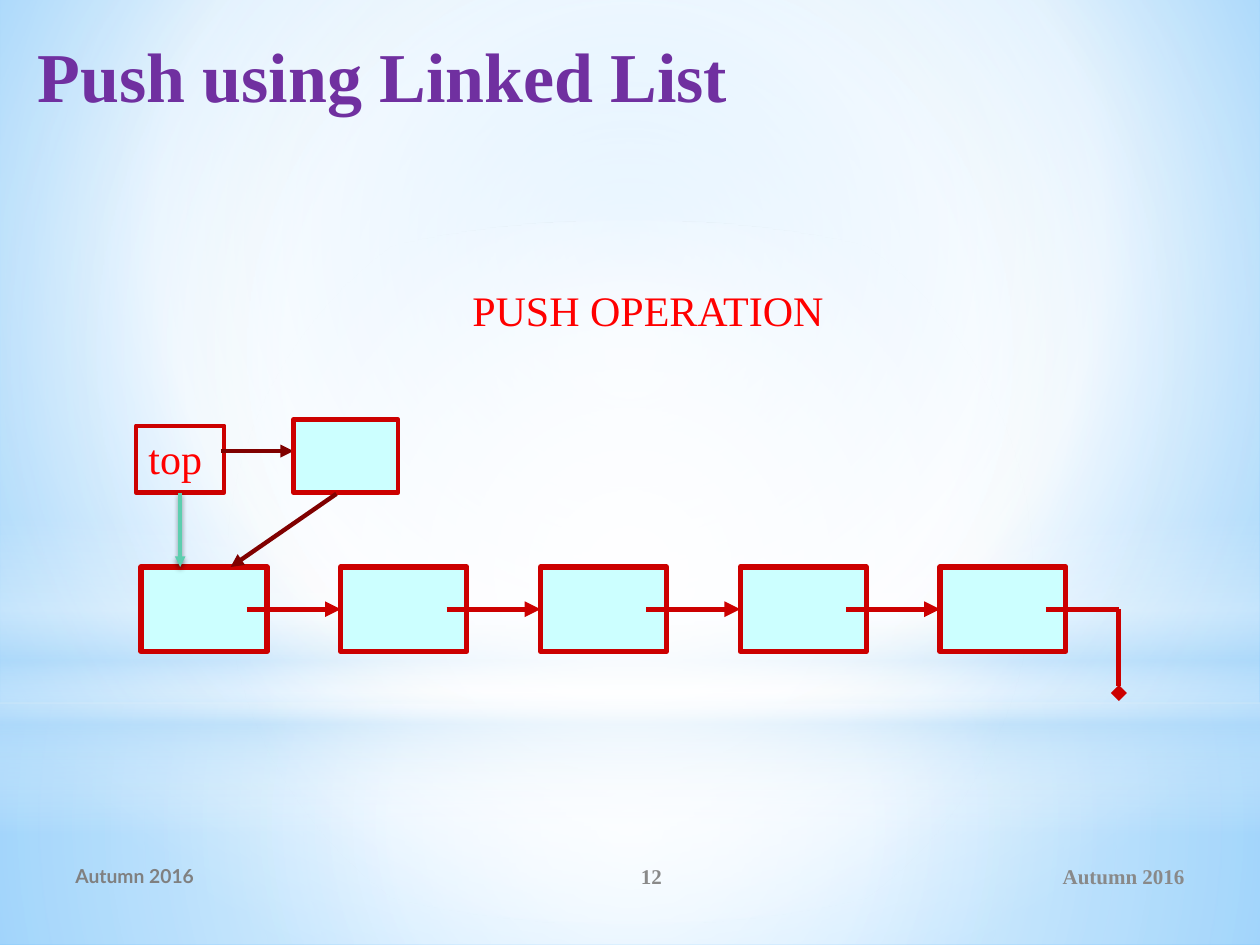
from lxml import etree
from pptx import Presentation
from pptx.dml.color import RGBColor
from pptx.enum.shapes import MSO_CONNECTOR, MSO_SHAPE
from pptx.enum.text import MSO_ANCHOR, PP_ALIGN
from pptx.oxml.ns import qn
from pptx.util import Inches, Pt

RECTANGLE, ELLIPSE = MSO_SHAPE.RECTANGLE, MSO_SHAPE.OVAL
STRAIGHT = MSO_CONNECTOR.STRAIGHT
LEFT, CENTER, RIGHT = PP_ALIGN.LEFT, PP_ALIGN.CENTER, PP_ALIGN.RIGHT
TOP, MIDDLE = MSO_ANCHOR.TOP, MSO_ANCHOR.MIDDLE
SIDE_LEFT, SIDE_BOTTOM = 1, 2

WHITE = RGBColor(0xFF, 0xFF, 0xFF)
BLACK = RGBColor(0x00, 0x00, 0x00)
SKY = RGBColor(0x9E, 0xD5, 0xFF)
DEEP_SKY = RGBColor(0x5B, 0xB9, 0xFF)
PALE_BLUE = RGBColor(0xB4, 0xDC, 0xFA)
NODE_FILL = RGBColor(0xCC, 0xFF, 0xFF)
CRIMSON = RGBColor(0xCC, 0x00, 0x00)
MAROON = RGBColor(0x80, 0x00, 0x00)
TEAL = RGBColor(0x5D, 0xCE, 0xAF)
RED = RGBColor(0xFF, 0x00, 0x00)
PURPLE = RGBColor(0x70, 0x30, 0xA0)
FOOTER_GRAY = RGBColor(0x89, 0x89, 0x89)
DATE_GRAY = RGBColor(0x80, 0x80, 0x80)
CENTERED = (50, 50, 50, 50)


def add_node(parent, tag, **attributes):
    values = {name: str(value) for name, value in attributes.items()}
    return etree.SubElement(parent, qn(tag), values)


def add_color(parent, color, opacity):
    node = add_node(parent, "a:srgbClr", val=color)
    if opacity < 100:
        add_node(node, "a:alpha", val=opacity * 1000)


def set_gradient(fill, owner, stops, focus=None):
    fill.gradient()
    gradient = next(owner.iter(qn("a:gradFill")))
    for child in list(gradient):
        gradient.remove(child)
    stop_list = add_node(gradient, "a:gsLst")
    for position, color, opacity in stops:
        stop = add_node(stop_list, "a:gs", pos=position * 1000)
        add_color(stop, color, opacity)
    if focus:
        circle = add_node(gradient, "a:path", path="circle")
        edges = {side: edge * 1000 for side, edge in zip("ltrb", focus)}
        add_node(circle, "a:fillToRect", **edges)
    else:
        add_node(gradient, "a:lin", ang=90 * 60000, scaled=0)


class SlideBuilder:
    font_name = "Times New Roman"

    def __init__(self, deck):
        self.page = deck.slides.add_slide(deck.slide_layouts[6])

    def backdrop(self, stops, focus):
        set_gradient(self.page.background.fill, self.page.element, stops, focus)

    def glow(self, top, height, stops, focus=CENTERED, kind=RECTANGLE):
        shape = self.page.shapes.add_shape(
            kind, 0, Inches(top), Inches(10), Inches(height))
        shape.shadow.inherit = False
        shape.line.fill.background()
        set_gradient(shape.fill, shape.element, stops, focus)

    def box(self, left, top, width, height, weight, fill=NODE_FILL):
        box = self.page.shapes.add_shape(
            RECTANGLE, Inches(left), Inches(top), Inches(width), Inches(height))
        box.shadow.inherit = False
        if fill is None:
            box.fill.background()
        else:
            box.fill.solid()
            box.fill.fore_color.rgb = fill
        box.line.color.rgb = CRIMSON
        box.line.width = Pt(weight)
        return box

    def label(self, box, words, size, color, bold=False, align=LEFT,
              anchor=TOP, wrap=True, font=None):
        frame = box.text_frame
        frame.word_wrap = wrap
        frame.vertical_anchor = anchor
        para = frame.paragraphs[0]
        para.alignment = align
        span = para.add_run()
        span.text = words
        span.font.name = font or self.font_name
        span.font.size = Pt(size)
        span.font.bold = bold
        span.font.color.rgb = color

    def text(self, left, top, width, height, words, size, color, **style):
        box = self.page.shapes.add_textbox(
            Inches(left), Inches(top), Inches(width), Inches(height))
        self.label(box, words, size, color, **style)

    def line(self, start, end, color=CRIMSON, weight=3, tip="triangle",
             shadow=False):
        line = self.page.shapes.add_connector(
            STRAIGHT, *(Inches(length) for length in (*start, *end)))
        line.line.color.rgb = color
        line.line.width = Pt(weight)
        properties = line.element.spPr
        if tip:
            add_node(properties.find(qn("a:ln")), "a:tailEnd", type=tip)
        effects = add_node(properties, "a:effectLst")
        if shadow:
            outer = add_node(effects, "a:outerShdw", blurRad=int(Pt(3.1)),
                             dist=int(Pt(1.8)), dir=90 * 60000, rotWithShape=0)
            add_color(outer, BLACK, 45)
        return line


def main():
    deck = Presentation()
    deck.slide_width, deck.slide_height = Inches(10), Inches(7.5)
    slide = SlideBuilder(deck)

    slide.backdrop([(0, SKY, 100), (60, WHITE, 100), (100, DEEP_SKY, 100)],
                   (20, 10, 20, 60))
    slide.glow(5.58, 1.92,
               [(0, WHITE, 91), (37, WHITE, 76), (100, PALE_BLUE, 79)])
    slide.glow(0, 5.58,
               [(0, WHITE, 89), (48, WHITE, 62), (100, PALE_BLUE, 79)])
    slide.glow(4.12, 2.5,
               [(0, WHITE, 0), (29, WHITE, 30), (45, PALE_BLUE, 40),
                (55, WHITE, 26), (65, PALE_BLUE, 60), (100, WHITE, 0)],
               focus=None)
    slide.glow(1.75, 5.58, [(0, WHITE, 100), (56, WHITE, 0)], kind=ELLIPSE)

    slide.text(6.75, 6.75, 2.75, 0.4, "Autumn 2016", 12, FOOTER_GRAY,
               bold=True, align=RIGHT, anchor=MIDDLE)
    slide.text(0.5, 6.75, 3.67, 0.4, "Autumn 2016", 11, DATE_GRAY,
               bold=True, anchor=MIDDLE, font="Lato")
    slide.text(4.17, 6.75, 2, 0.4, "12", 12, FOOTER_GRAY,
               bold=True, align=CENTER, anchor=MIDDLE)

    node_top, node_height = 4.5, 0.67
    link_y = node_top + node_height / 2
    first_left, last_left = 1.12, 7.46
    node_step = (last_left - first_left) / 4
    lefts = [first_left + node_step * index for index in range(5)]
    nodes = [slide.box(left, node_top, 1, node_height, 3) for left in lefts]
    for left, target_left, target in zip(lefts, lefts[1:], nodes[1:]):
        link = slide.line((left + 0.84, link_y), (target_left, link_y))
        link.end_connect(target, SIDE_LEFT)
    null_x = 8.88
    slide.line((last_left + 0.84, link_y), (null_x, link_y), tip=None)
    slide.line((null_x, link_y), (null_x, 5.5), tip="diamond")

    top_box = slide.box(1.08, 3.38, 0.7, 0.53, 2.5, fill=None)
    slide.label(top_box, "top", 24, RED, wrap=False)
    old_link = slide.line((1.43, 3.91), (1.43, node_top), TEAL, 2, shadow=True)
    old_link.begin_connect(top_box, SIDE_BOTTOM)
    slide.line((1.75, 3.58), (2.33, 3.58), MAROON, 2.5)
    slide.box(2.33, 3.33, 0.83, 0.58, 2.5)
    slide.line((2.67, 3.92), (1.83, node_top), MAROON, 2.5)

    slide.text(3.65, 2.21, 3.19, 0.5, "PUSH OPERATION", 24, RED, wrap=False)
    slide.text(0.2, 0.21, 9.53, 1.25, "Push using Linked List", 40, PURPLE,
               bold=True)
    deck.save("out.pptx")


if __name__ == "__main__":
    main()
